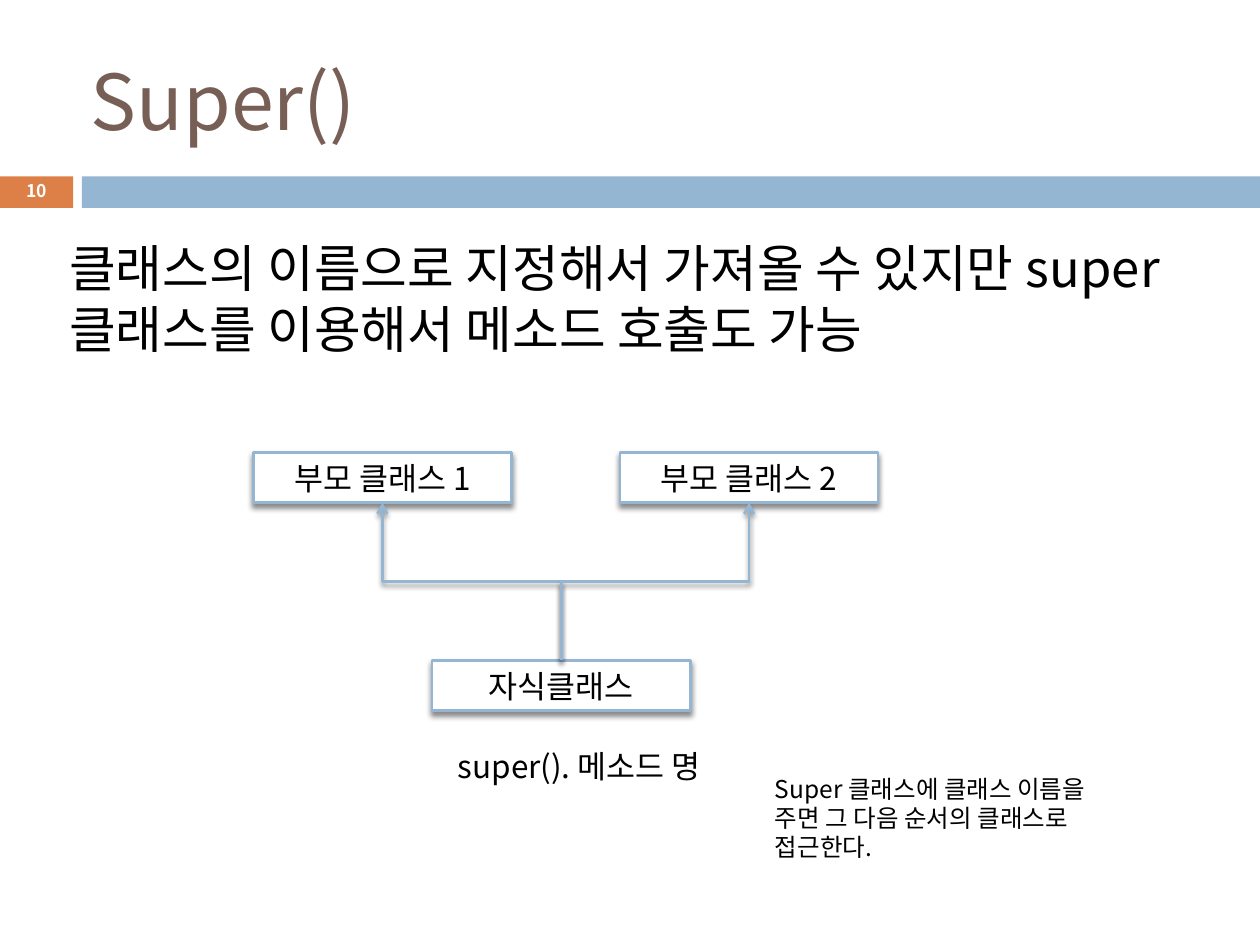
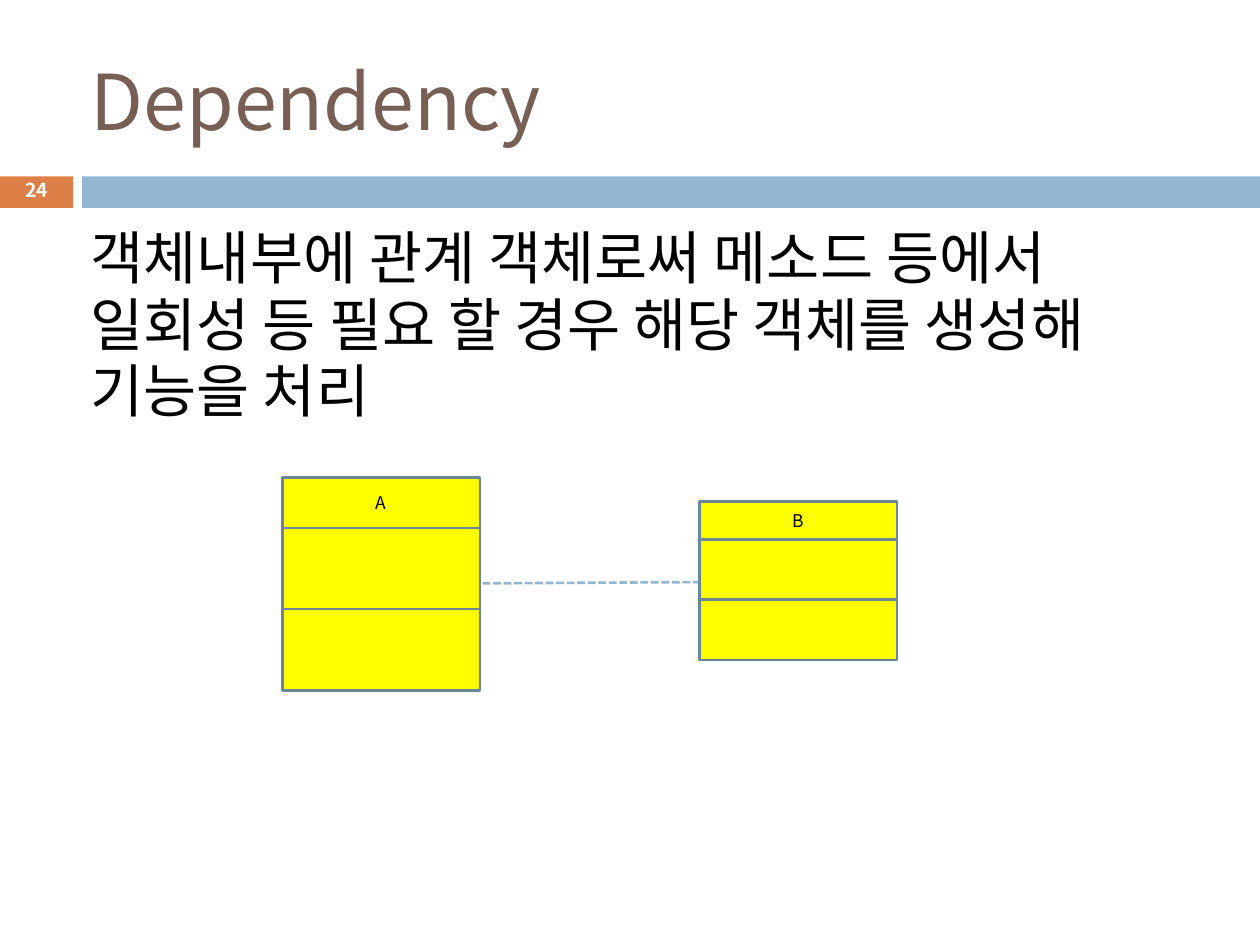
"""Builds two class-relationship slides: super() and dependency."""
import pptx
import pptx.util
import pptx.dml.color
import pptx.enum.dml
import pptx.enum.shapes
import pptx.enum.text
import pptx.oxml.ns
from lxml import etree

Inches = pptx.util.Inches
Pt = pptx.util.Pt
qn = pptx.oxml.ns.qn
ALIGN = pptx.enum.text.PP_ALIGN
ANCHOR = pptx.enum.text.MSO_ANCHOR
CONNECTOR = pptx.enum.shapes.MSO_CONNECTOR

FONT = "Noto Sans CJK KR"
BROWN, ORANGE, BLUE, SLATE = "775F55", "DD8047", "94B6D2", "6C8599"
YELLOW, WHITE, BLACK = "FFFF00", "FFFFFF", "000000"
LINE_WIDTH = 1.5

TITLE_AREA = (0.67, 0.25, 8.92, 1.08)
BAND_TOP, BAND_HEIGHT = 1.4, 0.25
BANDS = [(0, 0.58, ORANGE), (0.65, 9.35, BLUE)]
NUMBER_CENTER = 0.29

SUPER = {
    "title": "Super()", "number": "10", "number_size": 10, "number_area": (0.28, 0.27),
    "body": "클래스의 이름으로 지정해서 가져올 수 있지만 super 클래스를 이용해서 메소드 호출도 가능",
    "body_area": (0.5, 1.83, 9, 1.53), "body_size": 29, "body_spacing": 1,
}
CLASS_SIZE = (2.05, 0.4)
PARENTS = [("부모 클래스 1", 2.01, 3.59), ("부모 클래스 2", 4.92, 3.59)]
CHILD = ("자식클래스", 3.43, 5.24)
CALL = (" super(). 메소드 명", (2.72, 5.88, 3.7, 0.4))
REMARK = ("Super 클래스에 클래스 이름을 주면 그 다음 순서의 클래스로 접근한다.", (6.1, 6.09, 2.91, 0.81))

DEPENDENCY = {
    "title": "Dependency", "number": "24", "number_size": 11, "number_area": (0.31, 0.3),
    "body": "객체내부에 관계 객체로써 메소드 등에서 일회성 등 필요 할 경우 해당 객체를 생성해 기능을 처리",
    "body_area": (0.67, 1.75, 8.92, 1.84), "body_size": 33, "body_spacing": 0.96,
}
UML_WIDTH, UML_LABEL_HEIGHT = 1.57, 0.27
UML_CLASSES = [("A", 2.24, 3.79, 0.4, 0.645), ("B", 5.55, 3.98, 0.3, 0.48)]
DEPENDENCY_LINE = (3.83, 4.63, 5.54, 4.62)


def color(hex_code):
    """Return a colour from a hex string."""
    return pptx.dml.color.RGBColor.from_string(hex_code)


def write(shape, text, size, ink=BLACK, align=ALIGN.LEFT, anchor=ANCHOR.TOP,
          bold=False, spacing=None, before=0, wrap=True):
    """Fill a shape with one formatted paragraph."""
    frame = shape.text_frame
    frame.text = text
    frame.word_wrap = wrap
    frame.auto_size = pptx.enum.text.MSO_AUTO_SIZE.NONE
    frame.vertical_anchor = anchor
    frame.margin_left = frame.margin_right = Inches(0.05)
    frame.margin_top = frame.margin_bottom = Inches(0.05)
    paragraph = frame.paragraphs[0]
    paragraph.alignment = align
    paragraph.space_before = Pt(before)
    if spacing:
        paragraph.line_spacing = spacing
    for run in paragraph.runs:
        run.font.size, run.font.bold, run.font.name = Pt(size), bold, FONT
        run.font.color.rgb = color(ink)
        etree.SubElement(run.font._element, qn("a:ea"), typeface=FONT)


def add_text(shapes, area, text, size, **style):
    """Add a text box."""
    write(shapes.add_textbox(*map(Inches, area)), text, size, **style)


def add_box(shapes, area, fill, outline=None):
    """Add a rectangle without shadow."""
    box = shapes.add_shape(pptx.enum.shapes.MSO_SHAPE.RECTANGLE, *map(Inches, area))
    box.fill.solid()
    box.fill.fore_color.rgb = color(fill)
    if outline:
        box.line.color.rgb = color(outline)
        box.line.width = Pt(LINE_WIDTH)
    else:
        box.line.fill.background()
    box.shadow.inherit = False
    return box


def add_line(shapes, kind, ends):
    """Add a blue connector without shadow and return it with its effect list."""
    line = shapes.add_connector(kind, *map(Inches, ends))
    line.line.color.rgb = color(BLUE)
    line.line.width = Pt(LINE_WIDTH)
    return line, etree.SubElement(line._element.spPr, qn("a:effectLst"))


def cast_shadow(effects):
    """Put a soft downward shadow into an effect list."""
    shadow = etree.SubElement(effects, qn("a:outerShdw"), blurRad=str(Pt(3)),
                              dist=str(Pt(2.4)), dir="5400000", rotWithShape="0")
    ink = etree.SubElement(shadow, qn("a:srgbClr"), val=BLACK)
    etree.SubElement(ink, qn("a:alpha"), val="45000")


def add_page(deck, page):
    """Add a slide with title, bands, number and body text."""
    slide = deck.slides.add_slide(deck.slide_layouts[5])
    shapes = slide.shapes
    for left, width, fill in BANDS:
        add_box(shapes, (left, BAND_TOP, width, BAND_HEIGHT), fill)
    title = shapes.title
    title.left, title.top, title.width, title.height = map(Inches, TITLE_AREA)
    write(title, page["title"], 44, BROWN, anchor=ANCHOR.MIDDLE)
    add_text(shapes, page["body_area"], page["body"], page["body_size"],
             spacing=page["body_spacing"], before=7)
    width, height = page["number_area"]
    middle = BAND_TOP + BAND_HEIGHT / 2
    add_text(shapes, (NUMBER_CENTER - width / 2, middle - height / 2, width, height),
             page["number"], page["number_size"], ink=WHITE, align=ALIGN.CENTER,
             anchor=ANCHOR.MIDDLE, bold=True, spacing=0.8, wrap=False)
    return shapes


def add_class(shapes, name, left, top):
    """Add a shadowed class box."""
    box = add_box(shapes, (left, top, *CLASS_SIZE), WHITE, BLUE)
    cast_shadow(box._element.spPr.find(qn("a:effectLst")))
    write(box, name, 18, align=ALIGN.CENTER, anchor=ANCHOR.MIDDLE)
    return box


def add_inheritance(shapes, child, parent):
    """Join the child's top to the parent's bottom with a bent arrow."""
    start_x, start_y = child.left + child.width // 2, child.top
    end_x, end_y = parent.left + parent.width // 2, parent.top + parent.height
    arrow, effects = add_line(shapes, CONNECTOR.ELBOW, (0, 0, 1, 1))
    arrow.begin_connect(child, 0)
    arrow.end_connect(parent, 2)
    rise, run = start_y - end_y, abs(end_x - start_x)
    arrow.left, arrow.top = (start_x + end_x - rise) // 2, (start_y + end_y - run) // 2
    arrow.width, arrow.height = rise, run
    to_left = end_x < start_x
    frame = arrow._element.spPr.find(qn("a:xfrm"))
    frame.set("rot", "16200000" if to_left else "5400000")
    frame.set("flipH", "0" if to_left else "1")
    frame.set("flipV", "1")
    etree.SubElement(arrow._element.spPr.find(qn("a:ln")), qn("a:tailEnd"), type="arrow")
    cast_shadow(effects)


def add_uml_class(shapes, name, left, top, head, section):
    """Add a grouped class figure with a name row and two empty sections."""
    parts = shapes.add_group_shape().shapes
    row_top = top
    for height in (head, section, section):
        add_box(parts, (left, row_top, UML_WIDTH, height), YELLOW, SLATE)
        row_top += height
    label_top = top + (head - UML_LABEL_HEIGHT) / 2
    add_text(parts, (left, label_top, UML_WIDTH, UML_LABEL_HEIGHT), name, 10,
             align=ALIGN.CENTER, anchor=ANCHOR.MIDDLE)


def main():
    """Build and save the deck."""
    deck = pptx.Presentation()
    deck.slide_width, deck.slide_height = Inches(10), Inches(7.5)

    shapes = add_page(deck, SUPER)
    parents = [add_class(shapes, *parent) for parent in PARENTS]
    child = add_class(shapes, *CHILD)
    for parent in parents:
        add_inheritance(shapes, child, parent)
    call, call_area = CALL
    add_text(shapes, call_area, call, 18, align=ALIGN.CENTER)
    remark, remark_area = REMARK
    add_text(shapes, remark_area, remark, 14)

    shapes = add_page(deck, DEPENDENCY)
    for uml_class in UML_CLASSES:
        add_uml_class(shapes, *uml_class)
    dependency, _ = add_line(shapes, CONNECTOR.STRAIGHT, DEPENDENCY_LINE)
    dependency.line.dash_style = pptx.enum.dml.MSO_LINE.SQUARE_DOT

    deck.save("out.pptx")


if __name__ == "__main__":
    main()
